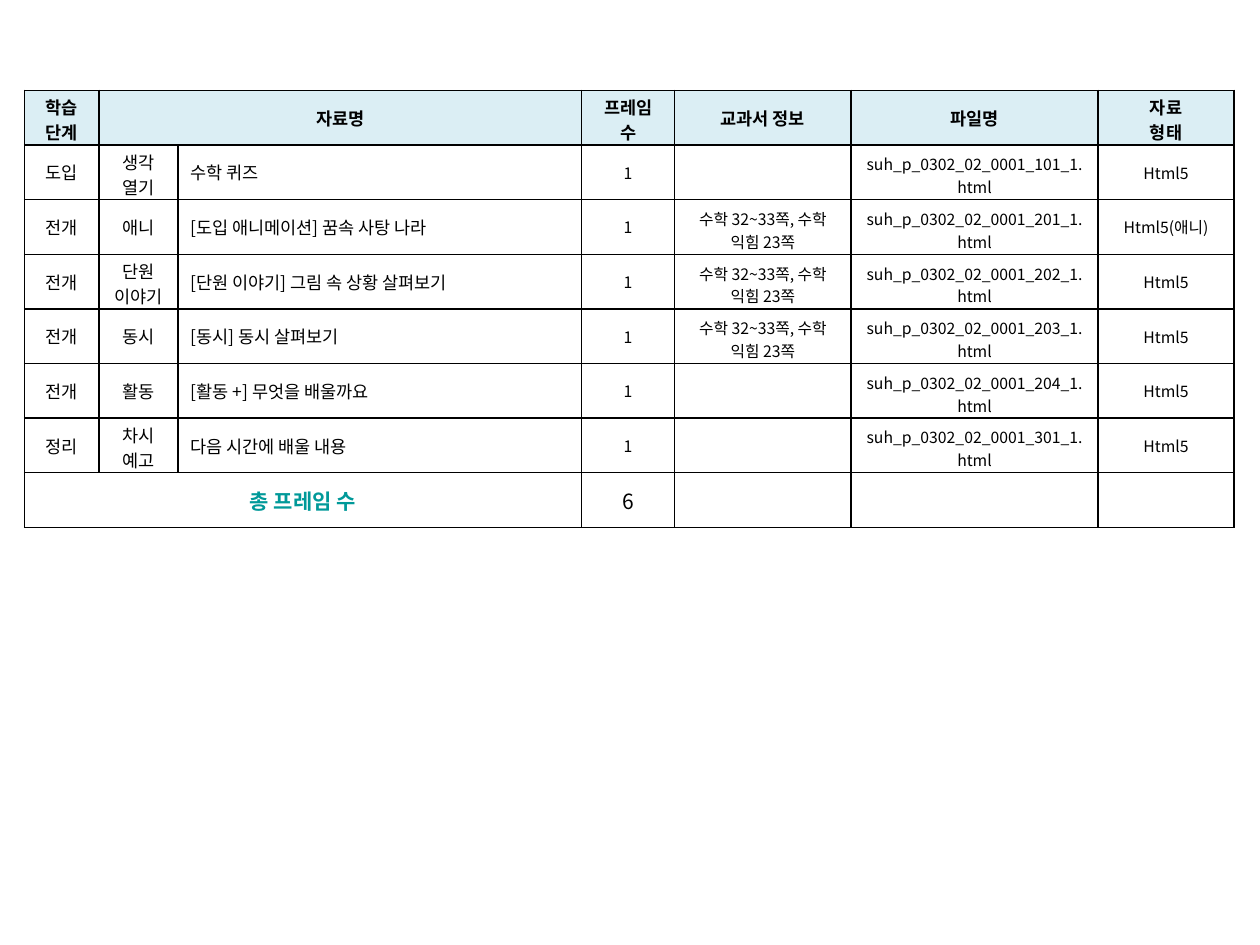
from dataclasses import dataclass

from lxml.etree import SubElement
from pptx import Presentation
from pptx.dml.color import RGBColor
from pptx.enum.text import MSO_ANCHOR as Anchor, PP_ALIGN as Align
from pptx.oxml.ns import qn
from pptx.table import Table, _Cell as Cell
from pptx.util import Inches, Pt

FONT = "Noto Sans CJK KR"
BLACK = RGBColor(0x00, 0x00, 0x00)
TEAL = RGBColor(0x00, 0x99, 0x99)
PALE_BLUE = RGBColor(0xDB, 0xEE, 0xF4)

SLIDE_WIDTH, SLIDE_HEIGHT = Inches(10), Inches(7.5)
LEFT_PERCENT, TOP_PERCENT = 1.95, 9.57
ROW_PERCENT = 5.78
COLUMN_PERCENTS = (5.9, 6.3, 32, 7.4, 14, 19.6, 10.8)
HEADERS = ("학습 단계", "자료명", "", "프레임 수", "교과서 정보", "파일명", "자료\n형태")
TWO_LINE_HEADERS = (0, 3, 6)
TWO_LINE_INSETS = {10: 0.03, 9: 0.05}
TEXTBOOK = "수학 32~33쪽, 수학 익힘 23쪽"


@dataclass(frozen=True)
class Material:
    stage: str
    section: str
    title: str
    file_number: int
    textbook: str = ""
    form: str = "Html5"

    @property
    def file_name(self) -> str:
        return f"suh_p_0302_02_0001_{self.file_number}_1.html"


MATERIALS = (
    Material("도입", "생각\n열기", "수학 퀴즈", 101),
    Material("전개", "애니", "[도입 애니메이션] 꿈속 사탕 나라", 201, TEXTBOOK, "Html5(애니)"),
    Material("전개", "단원\n이야기", "[단원 이야기] 그림 속 상황 살펴보기", 202, TEXTBOOK),
    Material("전개", "동시", "[동시] 동시 살펴보기", 203, TEXTBOOK),
    Material("전개", "활동", "[활동 +] 무엇을 배울까요", 204),
    Material("정리", "차시 예고", "다음 시간에 배울 내용", 301),
)


def percent(share: float, length: int) -> int:
    return round(share * length / 100)


def write(cell: Cell, text: str, *, size: int = 10, bold: bool = False,
          color: RGBColor = BLACK, align: Align = Align.CENTER,
          two_lines: bool = False) -> None:
    cell.vertical_anchor = Anchor.MIDDLE
    if two_lines:
        cell.margin_top = Inches(TWO_LINE_INSETS[size])
        cell.margin_bottom = 0
    frame = cell.text_frame
    for index, line in enumerate(text.split("\n")):
        paragraph = frame.add_paragraph() if index else frame.paragraphs[0]
        paragraph.alignment = align
        if not line:
            SubElement(paragraph._p, qn("a:endParaRPr"), sz=str(size * 100))
            continue
        run = paragraph.add_run()
        run.text = line
        run.font.size = Pt(size)
        run.font.bold = bold
        run.font.color.rgb = color
        run.font.name = FONT
        SubElement(run.font._element, qn("a:ea"), typeface=FONT)


def outline(cell: Cell) -> None:
    properties = cell._tc.get_or_add_tcPr()
    for position, side in enumerate(("lnL", "lnR", "lnT", "lnB")):
        line = SubElement(properties, qn(f"a:{side}"), w=str(Pt(1)))
        fill = SubElement(line, qn("a:solidFill"))
        SubElement(fill, qn("a:srgbClr"), val=str(BLACK))
        properties.remove(line)
        properties.insert(position, line)


def write_header(table: Table) -> None:
    for column, heading in enumerate(HEADERS):
        cell = table.cell(0, column)
        write(cell, heading, bold=True, two_lines=column in TWO_LINE_HEADERS)
        cell.fill.solid()
        cell.fill.fore_color.rgb = PALE_BLUE
    table.cell(0, 1).merge(table.cell(0, 2))


def write_material(table: Table, row: int, material: Material) -> None:
    write(table.cell(row, 0), material.stage)
    write(table.cell(row, 1), material.section,
          two_lines=len(material.section.split()) > 1)
    write(table.cell(row, 2), material.title, align=Align.LEFT)
    details = ("1", material.textbook, material.file_name, material.form)
    for column, detail in enumerate(details, start=3):
        write(table.cell(row, column), detail, size=9,
              two_lines=detail in (TEXTBOOK, material.file_name))


def write_total(table: Table, row: int) -> None:
    write(table.cell(row, 0), "총 프레임 수", size=12, bold=True, color=TEAL)
    totals = ("", "", str(len(MATERIALS)), "", "", "")
    for column, total in enumerate(totals, start=1):
        write(table.cell(row, column), total, size=12)
    table.cell(row, 0).merge(table.cell(row, 2))


def main() -> None:
    deck = Presentation()
    deck.slide_width, deck.slide_height = SLIDE_WIDTH, SLIDE_HEIGHT
    slide = deck.slides.add_slide(deck.slide_layouts[6])

    row_count = len(MATERIALS) + 2
    table = slide.shapes.add_table(
        row_count, len(COLUMN_PERCENTS),
        percent(LEFT_PERCENT, SLIDE_WIDTH), percent(TOP_PERCENT, SLIDE_HEIGHT),
        percent(sum(COLUMN_PERCENTS), SLIDE_WIDTH),
        percent(ROW_PERCENT * row_count, SLIDE_HEIGHT)).table
    table.first_row = table.horz_banding = False
    for column, share in zip(table.columns, COLUMN_PERCENTS):
        column.width = percent(share, SLIDE_WIDTH)
    for cell in table.iter_cells():
        cell.fill.background()
        outline(cell)

    write_header(table)
    for row, material in enumerate(MATERIALS, start=1):
        write_material(table, row, material)
    write_total(table, row_count - 1)
    deck.save("out.pptx")


if __name__ == "__main__":
    main()
